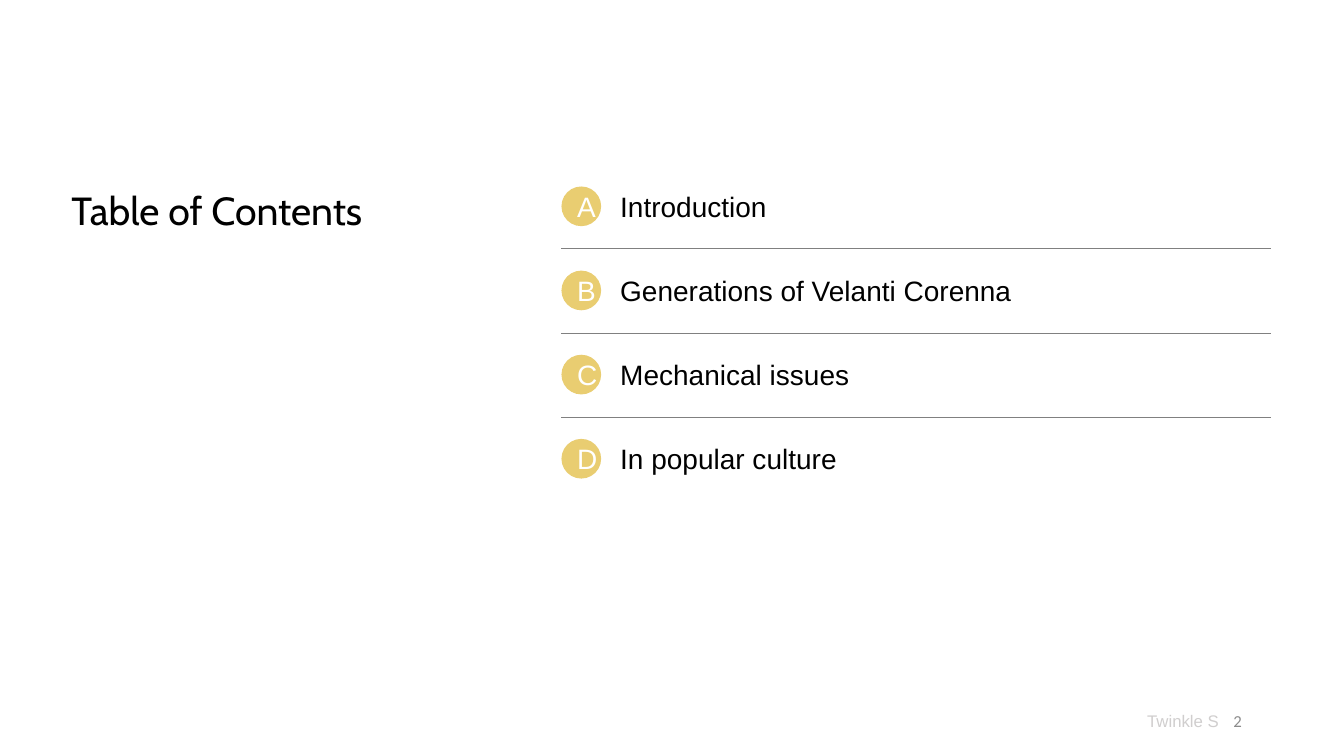
import pptx
import pptx.dml.color
import pptx.enum.shapes
import pptx.enum.text
import pptx.oxml
import pptx.util

Cm = pptx.util.Cm
Align = pptx.enum.text.PP_ALIGN
Anchor = pptx.enum.text.MSO_ANCHOR


def colour(value):
    return pptx.dml.color.RGBColor.from_string(value)


class ContentsPage:
    """Holds the style and the current slide, and adds its elements."""

    body_font = "Arial"
    ink = "000000"
    badge_fill = "E9CD71"
    rule_colour = "808080"

    def __init__(self, page):
        self.page = page

    def set_words(self, shape, words, size, font, ink, align=Align.LEFT,
                  anchor=Anchor.TOP, inset=0, wrap=True):
        frame = shape.text_frame
        frame.text = words
        frame.word_wrap = wrap
        frame.vertical_anchor = anchor
        frame.margin_left = frame.margin_right = Cm(inset)
        frame.margin_top = frame.margin_bottom = Cm(inset)
        para = frame.paragraphs[0]
        para.alignment = align
        span = para.runs[0]
        span.font.size = pptx.util.Pt(size)
        span.font.name = font
        span.font.color.rgb = colour(ink)

    def title(self, words, left, top, width, height):
        box = self.page.shapes.title
        box.left, box.top = Cm(left), Cm(top)
        box.width, box.height = Cm(width), Cm(height)
        self.set_words(box, words, 28, "Cabin", self.ink)

    def text(self, words, left, top, width, height, size=20, font=body_font,
             ink=ink, **layout):
        box = self.page.shapes.add_textbox(Cm(left), Cm(top), Cm(width), Cm(height))
        self.set_words(box, words, size, font, ink, **layout)

    def badge(self, letter, left, top, size):
        oval = pptx.enum.shapes.MSO_SHAPE.OVAL
        badge = self.page.shapes.add_shape(oval, Cm(left), Cm(top), Cm(size), Cm(size))
        badge.shadow.inherit = False
        badge.fill.solid()
        badge.fill.fore_color.rgb = colour(self.badge_fill)
        badge.line.fill.background()
        self.set_words(badge, letter, 20, self.body_font, "FFFFFF",
                       Align.CENTER, Anchor.MIDDLE, inset=0.25)

    def rule(self, left, right, top):
        straight = pptx.enum.shapes.MSO_CONNECTOR.STRAIGHT
        rule = self.page.shapes.add_connector(
            straight, Cm(left), Cm(top), Cm(right), Cm(top))
        rule.line.color.rgb = colour(self.rule_colour)
        rule.line.width = pptx.util.Pt(0.5)
        rule._element.spPr.append(pptx.oxml.parse_xml(
            '<a:effectLst xmlns:a="http://schemas.openxmlformats.org/drawingml/2006/main"/>'))


def main():
    deck = pptx.Presentation()
    deck.slide_width, deck.slide_height = Cm(33.87), Cm(19.05)
    contents = ContentsPage(deck.slides.add_slide(deck.slide_layouts[5]))
    contents.title("Table of Contents", 1.8, 4.7, 9.07, 1.19)

    topics = {
        "A": "Introduction",
        "B": "Generations of Velanti Corenna",
        "C": "Mechanical issues",
        "D": "In popular culture",
    }
    left, first_top, pitch = 14.15, 4.7, 2.12
    for row, (letter, topic) in enumerate(topics.items()):
        top = first_top + row * pitch
        contents.text(topic, left + 1.48, top + 0.07, 16.38, 0.86)
        contents.badge(letter, left, top, 1)
        if row < len(topics) - 1:
            contents.rule(left, 32.03, top + 1.57)

    contents.text("2", 23.93, 17.65, 7.62, 1.02, 12, "Calibri", "8C8C8C",
                  align=Align.RIGHT, anchor=Anchor.MIDDLE, inset=0.25)
    contents.text("Twinkle S", 28.91, 17.91, 1.83, 0.51, 12, ink="D0CECE", wrap=False)
    deck.save("out.pptx")


if __name__ == "__main__":
    main()
